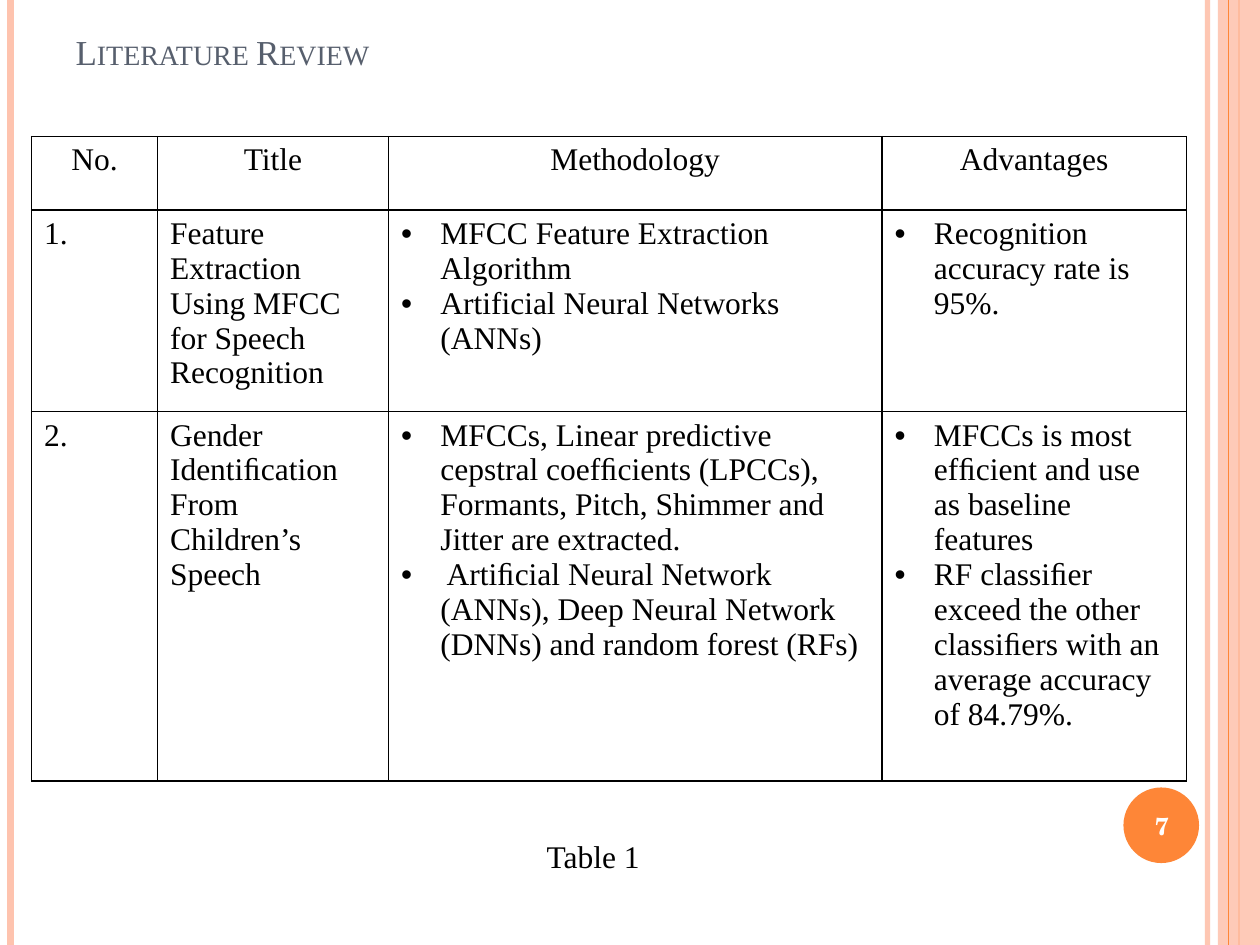
from lxml.etree import SubElement
from pptx import Presentation
from pptx.dml.color import RGBColor
from pptx.enum.shapes import MSO_CONNECTOR, MSO_SHAPE
from pptx.enum.text import MSO_ANCHOR, MSO_AUTO_SIZE, PP_ALIGN
from pptx.oxml import parse_xml
from pptx.oxml.ns import nsdecls, qn
from pptx.util import Pt

COLORS = {"accent": "FE8637", "pale": "FEC3AE", "title": "575F6D",
          "text": "000000", "white": "FFFFFF"}
SERIF = "Times New Roman"
COLUMNS = [72, 132, 282, 174]
ROWS = [42, 82, 211]
HEADERS = ["No.", "Title", "Methodology", "Advantages"]
PAPERS = [
    ["1.", "Feature Extraction Using MFCC for Speech Recognition",
     ["MFCC Feature Extraction Algorithm",
      "Artificial Neural Networks (ANNs)"],
     ["Recognition accuracy rate is 95%."]],
    ["2.", "Gender Identiﬁcation From Children’s Speech",
     ["MFCCs, Linear predictive cepstral coefﬁcients (LPCCs), Formants, "
      "Pitch, Shimmer and Jitter are extracted.",
      " Artiﬁcial Neural Network (ANNs), Deep Neural Network (DNNs) "
      "and random forest (RFs)"],
     ["MFCCs is most efﬁcient and use as baseline features",
      "RF classiﬁer exceed the other classiﬁers with an average accuracy "
      "of 84.79%."]],
]


def rgb(name):
    return RGBColor.from_string(COLORS[name])


def place(sp, left, top, width, height):
    sp.left, sp.top, sp.width, sp.height = map(Pt, (left, top, width, height))


def format_text(tf, size, color="text", font=SERIF, align=None, bold=False):
    for p in tf.paragraphs:
        p.alignment = align
        for r in p.runs:
            r.font.size = Pt(size)
            r.font.name = font
            r.font.bold = bold
            r.font.color.rgb = rgb(color)


def set_alpha(fill_parent, percent):
    clr = fill_parent.find(".//" + qn("a:srgbClr"))
    SubElement(clr, qn("a:alpha"), val=str(percent * 1000))


def add_stripe(s, x, color, width, alpha=100):
    line = s.shapes.add_connector(MSO_CONNECTOR.STRAIGHT, Pt(x), Pt(0), Pt(x), Pt(540))
    line.line.color.rgb = rgb(color)
    line.line.width = Pt(width)
    spPr = line._element.spPr
    if alpha < 100:
        set_alpha(spPr, alpha)
    SubElement(spPr, qn("a:effectLst"))


def add_block(s, kind, box, color, alpha=100):
    sp = s.shapes.add_shape(kind, *map(Pt, box))
    sp.shadow.inherit = False
    sp.fill.solid()
    sp.fill.fore_color.rgb = rgb(color)
    sp.line.fill.background()
    if alpha < 100:
        set_alpha(sp._element.spPr, alpha)


def add_title(s, text):
    title = s.shapes.title
    place(title, 36, -45, 588, 90)
    tf = title.text_frame
    tf.text = text
    tf.auto_size = MSO_AUTO_SIZE.NONE
    tf.vertical_anchor = MSO_ANCHOR.BOTTOM
    format_text(tf, 20, "title", align=PP_ALIGN.LEFT)
    tf.paragraphs[0].runs[0].font._element.set("cap", "small")


def add_label(s, box, text, size, anchor=MSO_ANCHOR.TOP, **style):
    tf = s.shapes.add_textbox(*map(Pt, box)).text_frame
    tf.word_wrap = True
    tf.vertical_anchor = anchor
    tf.text = text
    format_text(tf, size, align=PP_ALIGN.CENTER, **style)


def add_bullet(p):
    pPr = p._p.get_or_add_pPr()
    pPr.set("marL", str(Pt(22.5)))
    pPr.set("indent", str(-Pt(22.5)))
    SubElement(pPr, qn("a:buFont"), typeface="Arial")
    SubElement(pPr, qn("a:buChar"), char="•")


def add_borders(cell):
    tcPr = cell._tc.get_or_add_tcPr()
    for i, side in enumerate(("lnL", "lnR", "lnT", "lnB")):
        tcPr.insert(i, parse_xml(
            f'<a:{side} {nsdecls("a")} w="{Pt(1)}"><a:solidFill>'
            f'<a:srgbClr val="{COLORS["text"]}"/></a:solidFill></a:{side}>'))


def fill_cell(cell, content, align):
    tf = cell.text_frame
    if isinstance(content, list):
        tf.text = "\n".join(content)
    else:
        tf.text = content
    format_text(tf, 18, align=align)
    if isinstance(content, list):
        for p in tf.paragraphs:
            add_bullet(p)
    cell.fill.background()
    add_borders(cell)


def add_review_table(s):
    table = s.shapes.add_table(len(ROWS), len(COLUMNS), Pt(18), Pt(78),
                               Pt(sum(COLUMNS)), Pt(sum(ROWS))).table
    table.first_row = table.horz_banding = False
    for column, width in zip(table.columns, COLUMNS):
        column.width = Pt(width)
    for i, (row, contents) in enumerate(zip(table.rows, [HEADERS] + PAPERS)):
        row.height = Pt(ROWS[i])
        align = PP_ALIGN.LEFT if i else PP_ALIGN.CENTER
        for cell, content in zip(row.cells, contents):
            fill_cell(cell, content, align)


def main():
    prs = Presentation()
    prs.slide_width, prs.slide_height = Pt(720), Pt(540)
    s = prs.slides.add_slide(prs.slide_layouts[5])
    add_stripe(s, 690, "pale", 3, 93)
    add_stripe(s, 6, "pale", 4.5)
    add_stripe(s, 708, "accent", 1.5)
    add_block(s, MSO_SHAPE.RECTANGLE, (696, 0, 24, 540), "pale", 87)
    add_stripe(s, 702, "accent", 0.75)
    add_block(s, MSO_SHAPE.OVAL, (642, 450, 43.2, 43.2), "accent")
    add_title(s, "Literature Review")
    add_label(s, (640, 451.5, 48, 41), "7", 14, MSO_ANCHOR.MIDDLE,
              color="white", font="TeX Gyre Schola", bold=True)
    add_review_table(s)
    add_label(s, (234, 474.5, 210, 30), "Table 1", 18)
    prs.save("out.pptx")


if __name__ == "__main__":
    main()
